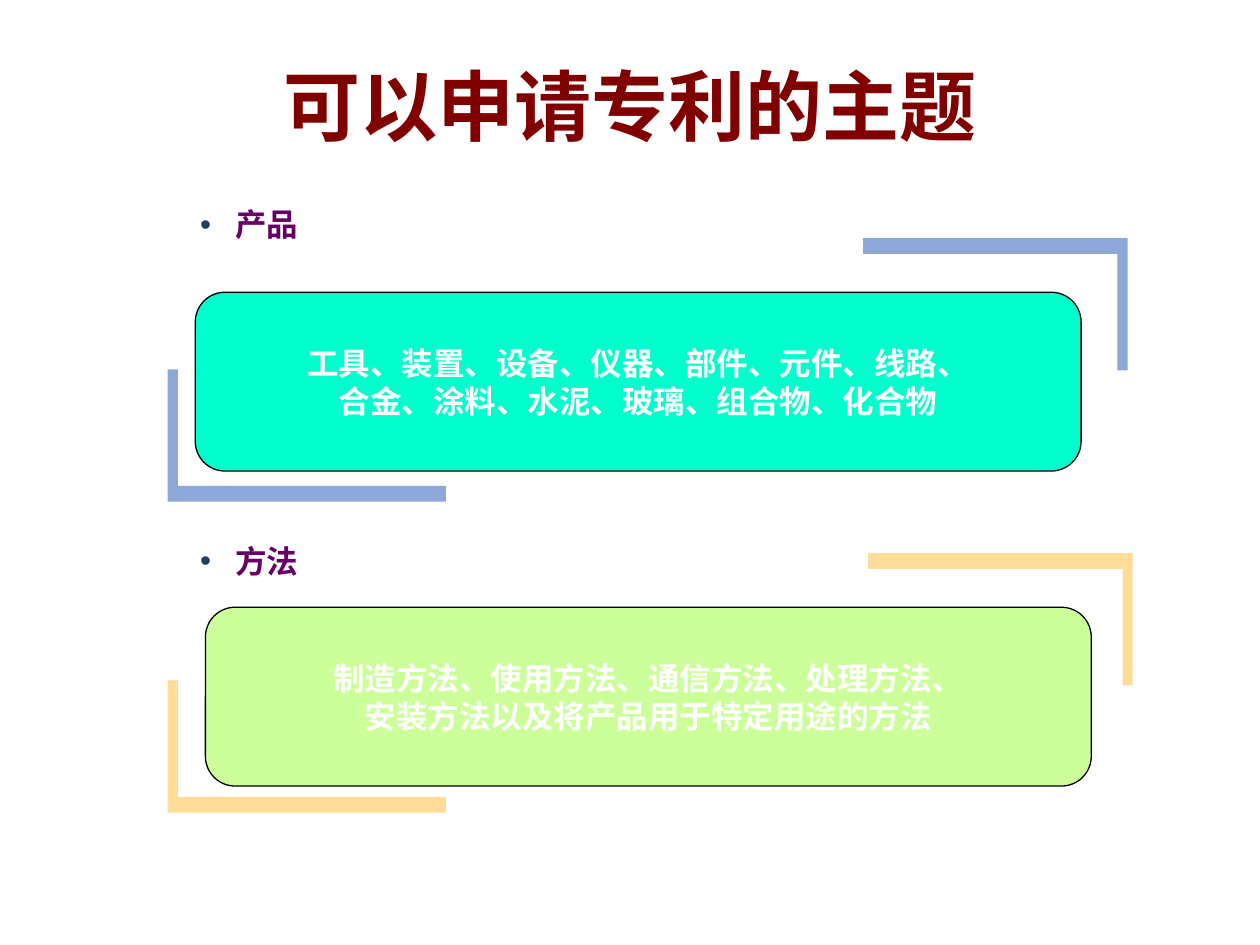
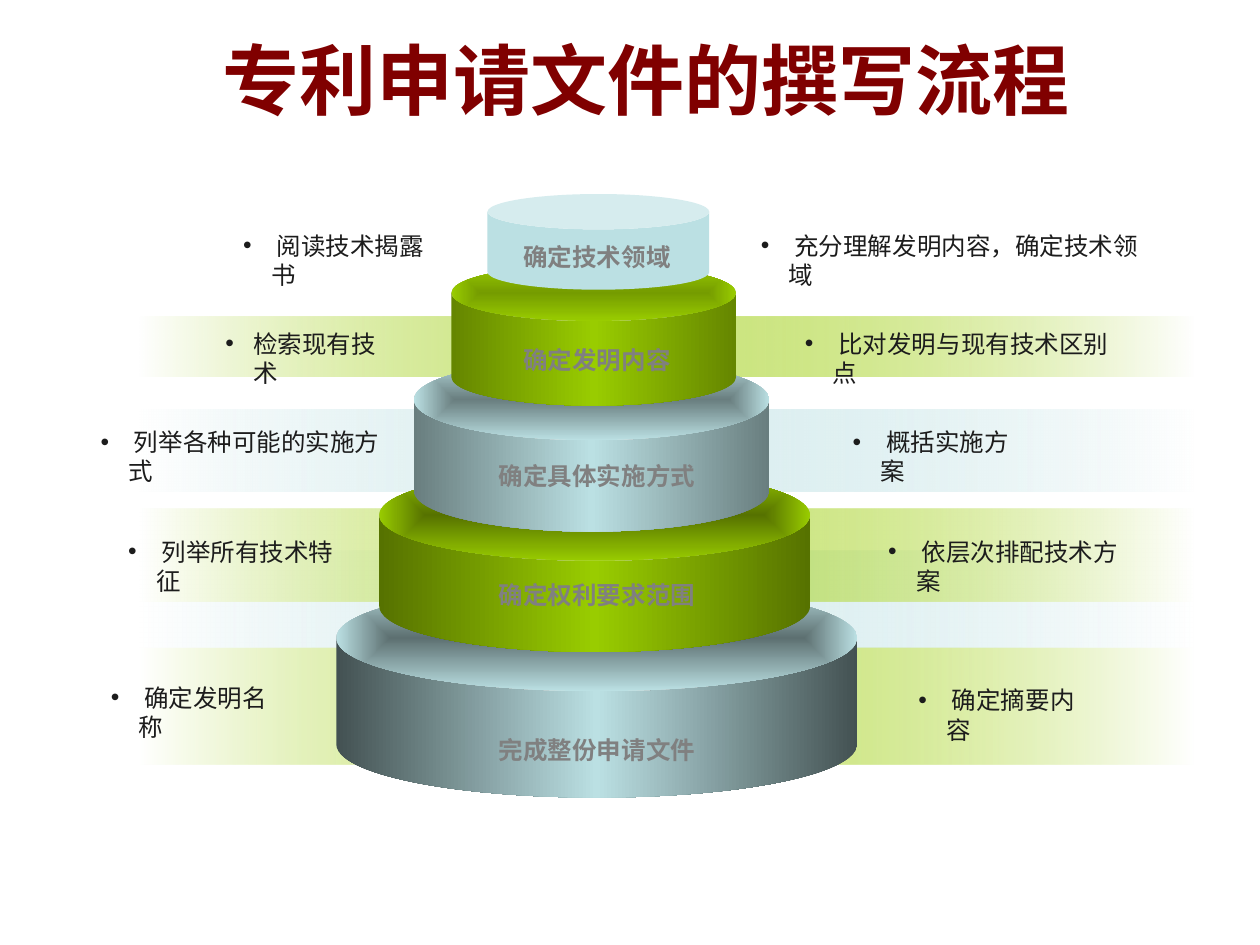
import pptx
import pptx.util
import pptx.dml.color
import pptx.enum.shapes
import pptx.enum.text
import pptx.oxml
import pptx.oxml.ns

Pt = pptx.util.Pt
RGB = pptx.dml.color.RGBColor
KIND = pptx.enum.shapes.MSO_SHAPE
ALIGN = pptx.enum.text.PP_ALIGN
MIDDLE = pptx.enum.text.MSO_ANCHOR.MIDDLE
qn = pptx.oxml.ns.qn
NS = pptx.oxml.ns.nsdecls("a")

# Colours
WHITE = RGB(0xFF, 0xFF, 0xFF)
BLACK = RGB(0, 0, 0)
MAROON = RGB(0x80, 0, 0)
PURPLE = RGB(0x66, 0, 0x66)
NAVY = RGB(0x1F, 0x3F, 0x5F)
BLUE = RGB(0x1A, 0x50, 0xB2)
GOLD = RGB(0xFF, 0xCC, 0x66)
MINT = RGB(0, 0xFF, 0xCC)
LIME = RGB(0xCC, 0xFF, 0x99)
GREEN = RGB(0x99, 0xCC, 0)
TEAL = RGB(0xBB, 0xE0, 0xE3)
GREY = RGB(0x80, 0x80, 0x80)
INK = RGB(0x1C, 0x1C, 0x1C)

FONT = "Arial"

# Topics: heading (text, x, y, w), card (fill, x, y, lines),
# brackets (colour, alpha, lower-left corner, upper-right corner)
TOPICS = [
    dict(head=(" 产品", 107.3, 113.8, 103),
         card=(MINT, 111.6, 167,
               ["工具、装置、设备、仪器、部件、元件、线路、",
                "合金、涂料、水泥、玻璃、组合物、化合物"]),
         marks=(BLUE, 50, (95.8, 286.6), (644.4, 136.1))),
    dict(head=(" 方法", 107.3, 306, 86),
         card=(LIME, 117.4, 347,
               ["制造方法、使用方法、通信方法、处理方法、",
                "安装方法以及将产品用于特定用途的方法"]),
         marks=(GOLD, 68, (95.8, 464.4), (647.3, 316.1))),
]

# Bands, bottom first: colour, y, height
BANDS = [(GREEN, 370, 67), (TEAL, 314.6, 55.4), (GREEN, 290.9, 52.6),
         (TEAL, 234, 46.8), (GREEN, 180.7, 34.6)]

# Tiers, bottom first: colour, edge shade, lid shade, x, y, w, h, lid share
TIERS = [
    (TEAL, "435152", "5D7071", 192.2, 334.1, 297.7, 121.7, 0.5),
    (GREEN, "567200", "567200", 216.7, 268.2, 246.2, 104.4, 0.5),
    (TEAL, "697E7F", "697E7F", 236.5, 205.2, 203.2, 98.6, 0.47),
    (GREEN, "658600", "759C00", 258, 151.2, 162.6, 80.6, 0.4),
    (TEAL, None, None, 278.6, 110.9, 126.7, 54.7, 0.37),
]

# Steps: (label, y), left note (text, x, y, w), right note
STEPS = [
    (("确定技术领域", 134.6), (" 阅读技术揭露书", 131.8, 128.2, 121),
     (" 充分理解发明内容，确定技术领域", 427.7, 128.2, 233.3)),
    (("确定发明内容", 193.7), ("检索现有技术", 121.7, 184.3, 103.7),
     (" 比对发明与现有技术区别点", 452.9, 184.3, 191.5)),
    (("确定具体实施方式", 260), (" 列举各种可能的实施方式", 50.4, 240.5, 177.1),
     (" 概括实施方案", 480.2, 240.5, 107.3)),
    (("确定权利要求范围", 327.6), (" 列举所有技术特征", 66.2, 303.1, 135.4),
     (" 依层次排配技术方案", 500.4, 303.1, 149)),
    (("完成整份申请文件", 416.2), (" 确定发明名称", 56.2, 386.6, 107.3),
     (" 确定摘要内容", 517.7, 388.1, 107.3)),
]


def style(para, size, hue, bold, align=None):
    para.alignment = align
    font = para.font
    font.name, font.size, font.bold = FONT, Pt(size), bold
    font.color.rgb = hue


def begin(deck, text, x, y):
    slide = deck.slides.add_slide(deck.slide_layouts[5])
    title = slide.shapes.title
    title.left, title.top, title.width, title.height = map(Pt, (x, y, 648, 90))
    frame = title.text_frame
    frame.text = text
    frame.vertical_anchor = MIDDLE
    style(frame.paragraphs[0], 44, MAROON, True, ALIGN.CENTER)
    return slide


def shape(slide, kind, x, y, w, h, hue=None):
    item = slide.shapes.add_shape(kind, Pt(x), Pt(y), Pt(w), Pt(h))
    plain(item, hue)
    return item


def plain(item, hue):
    item.shadow.inherit = False
    item.line.fill.background()
    if hue is not None:
        item.fill.solid()
        item.fill.fore_color.rgb = hue


def blend(item, stops, centre=False):
    """Fill with a gradient; each stop is place, colour, opacity in percent."""
    marks = "".join(
        f'<a:gs pos="{at * 1000}"><a:srgbClr val="{hue}">'
        f'<a:alpha val="{alpha * 1000}"/></a:srgbClr></a:gs>'
        for at, hue, alpha in stops)
    half = 'l="50000" t="50000" r="50000" b="50000"'
    way = (f'<a:path path="rect"><a:fillToRect {half}/></a:path>' if centre
           else '<a:lin ang="0" scaled="1"/>')
    item.fill.background()
    props = item._element.spPr
    props.replace(props.find(qn("a:noFill")), pptx.oxml.parse_xml(
        f'<a:gradFill {NS} rotWithShape="1"><a:gsLst>{marks}</a:gsLst>{way}</a:gradFill>'))


def write(slide, text, x, y, w, size, hue, bold, dot=None):
    """Add a text box: bulleted when dot gives a colour, otherwise centred."""
    box = slide.shapes.add_textbox(Pt(x), Pt(y), Pt(w), Pt(size * 1.2 + 7.2))
    frame = box.text_frame
    frame.word_wrap = True
    frame.text = text
    para = frame.paragraphs[0]
    if dot is not None:
        props = para._p.get_or_add_pPr()
        props.set("marL", str(Pt(16)))
        props.set("indent", str(Pt(-16)))
        for xml in (f'<a:buClr {NS}><a:srgbClr val="{dot}"/></a:buClr>',
                    f'<a:buFont {NS} typeface="{FONT}"/>',
                    f'<a:buChar {NS} char="•"/>'):
            props.append(pptx.oxml.parse_xml(xml))
    style(para, size, hue, bold, ALIGN.CENTER if dot is None else None)


def mark(slide, hue, alpha, x, y, w, turn):
    """Draw an L from its outer corner; turn is 1 for lower left, -1 for upper right."""
    high, thin, thick = 75.6, 5.8, 9
    spots = [(0, 0), (w, 0), (w, -thick), (thin, -thick), (thin, -high), (0, -high)]
    spots = [(Pt(x + turn * a), Pt(y + turn * b)) for a, b in spots]
    pen = slide.shapes.build_freeform(*spots[0])
    pen.add_line_segments(spots[1:], close=True)
    item = pen.convert_to_shape()
    plain(item, hue)
    tint = item._element.spPr.find(qn("a:solidFill"))[0]
    tint.append(pptx.oxml.parse_xml(f'<a:alpha {NS} val="{alpha * 1000}"/>'))


def topics(deck):
    slide = begin(deck, "可以申请专利的主题", 36, 15)
    for topic in TOPICS:
        # Corner brackets
        hue, alpha, low, top = topic["marks"]
        mark(slide, hue, alpha, *low, 159, 1)
        mark(slide, hue, alpha, *top, 151.2, -1)
        # Heading
        write(slide, *topic["head"], 18, PURPLE, True, NAVY)
        # Card
        hue, x, y, lines = topic["card"]
        card = shape(slide, KIND.ROUNDED_RECTANGLE, x, y, 506.2, 102.2, hue)
        card.line.color.rgb = BLACK
        card.line.width = Pt(0.75)
        frame = card.text_frame
        frame.word_wrap = False
        frame.vertical_anchor = MIDDLE
        frame.text = "\n".join(lines)
        for para in frame.paragraphs:
            style(para, 18, WHITE, True, ALIGN.CENTER)


def process(deck):
    slide = begin(deck, "专利申请文件的撰写流程", 45.4, 0)
    # Bands behind the tiers
    for hue, y, h in BANDS:
        band = shape(slide, KIND.RECTANGLE, 79.5, y, 602.5, h)
        blend(band, [(0, WHITE, 100), (50, hue, 50), (100, WHITE, 100)])
    # Stacked tiers, each with a shaded lid
    for hue, edge, shade, x, y, w, h, share in TIERS:
        can = shape(slide, KIND.CAN, x, y, w, h, hue)
        can.adjustments[0] = share
        if edge:
            blend(can, [(0, edge, 100), (50, hue, 100), (100, edge, 100)])
            lid = shape(slide, KIND.OVAL, x, y, w, h * share)
            blend(lid, [(0, shade, 100), (100, hue, 100)], centre=True)
    # Labels and side notes
    for (text, y), *notes in STEPS:
        write(slide, text, 270.7, y, 141, 14, GREY, True)
        for note in notes:
            write(slide, *note, 14, INK, False, INK)


def main():
    deck = pptx.Presentation()
    deck.slide_width, deck.slide_height = Pt(720), Pt(540)
    topics(deck)
    process(deck)
    deck.save("out.pptx")


if __name__ == "__main__":
    main()
